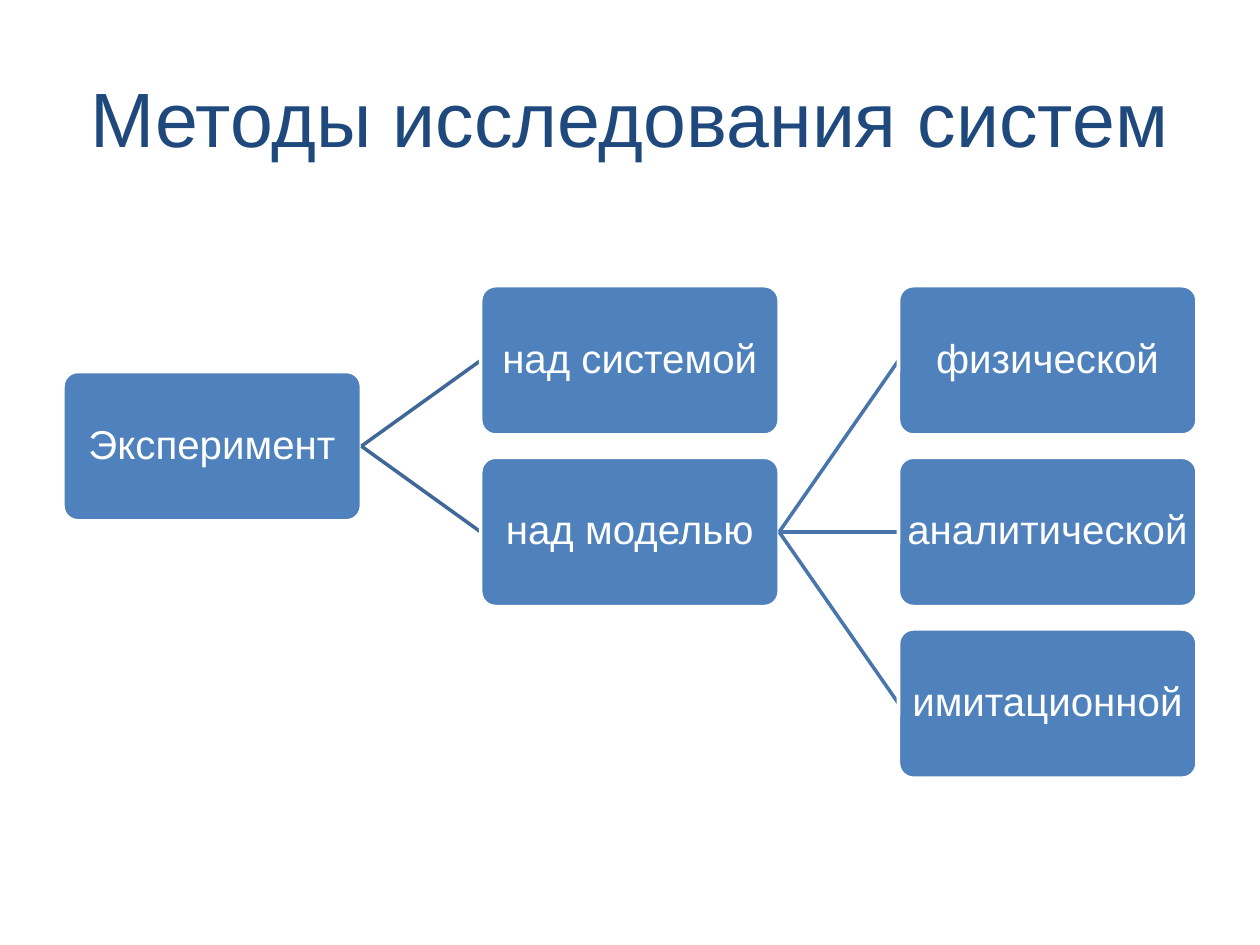
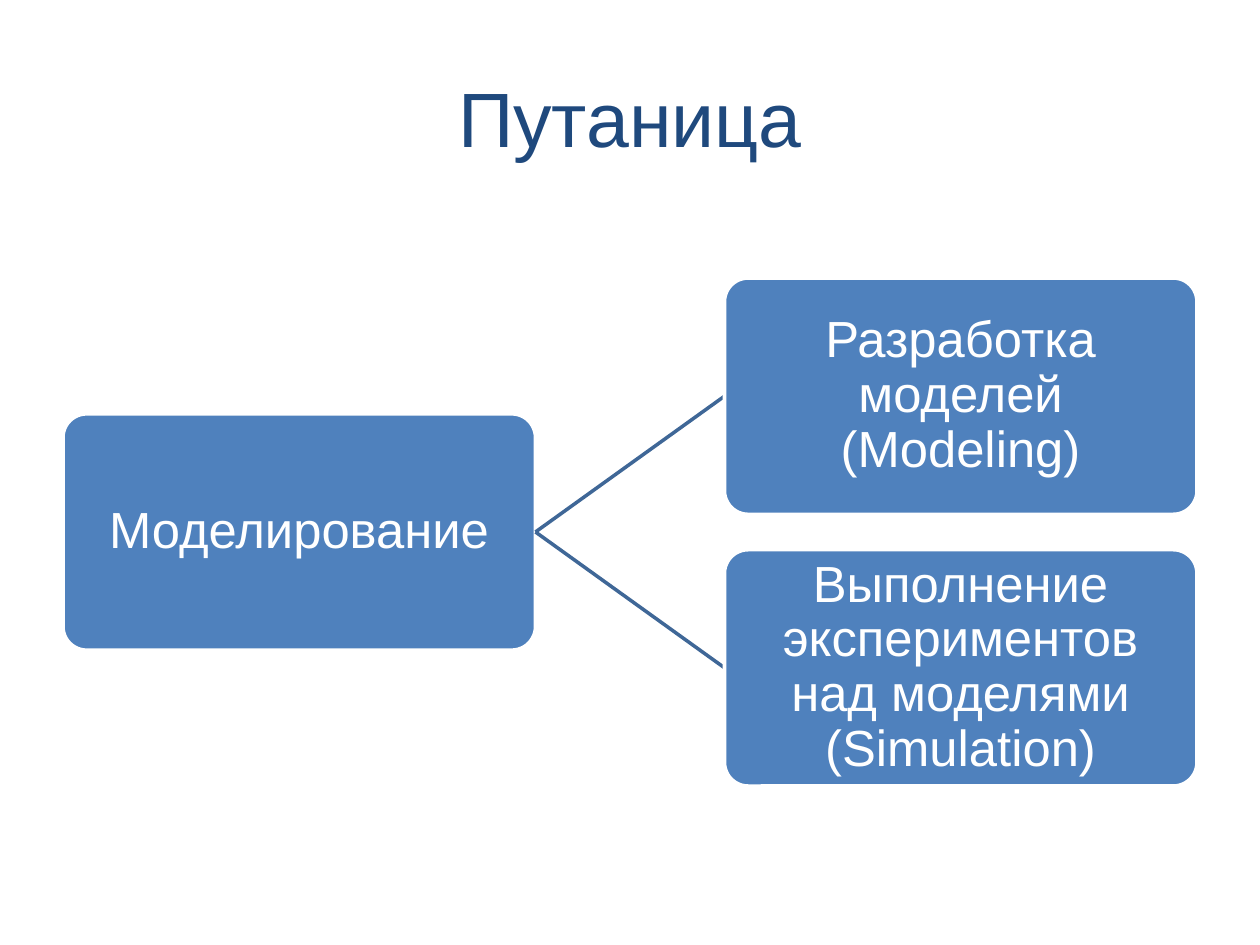
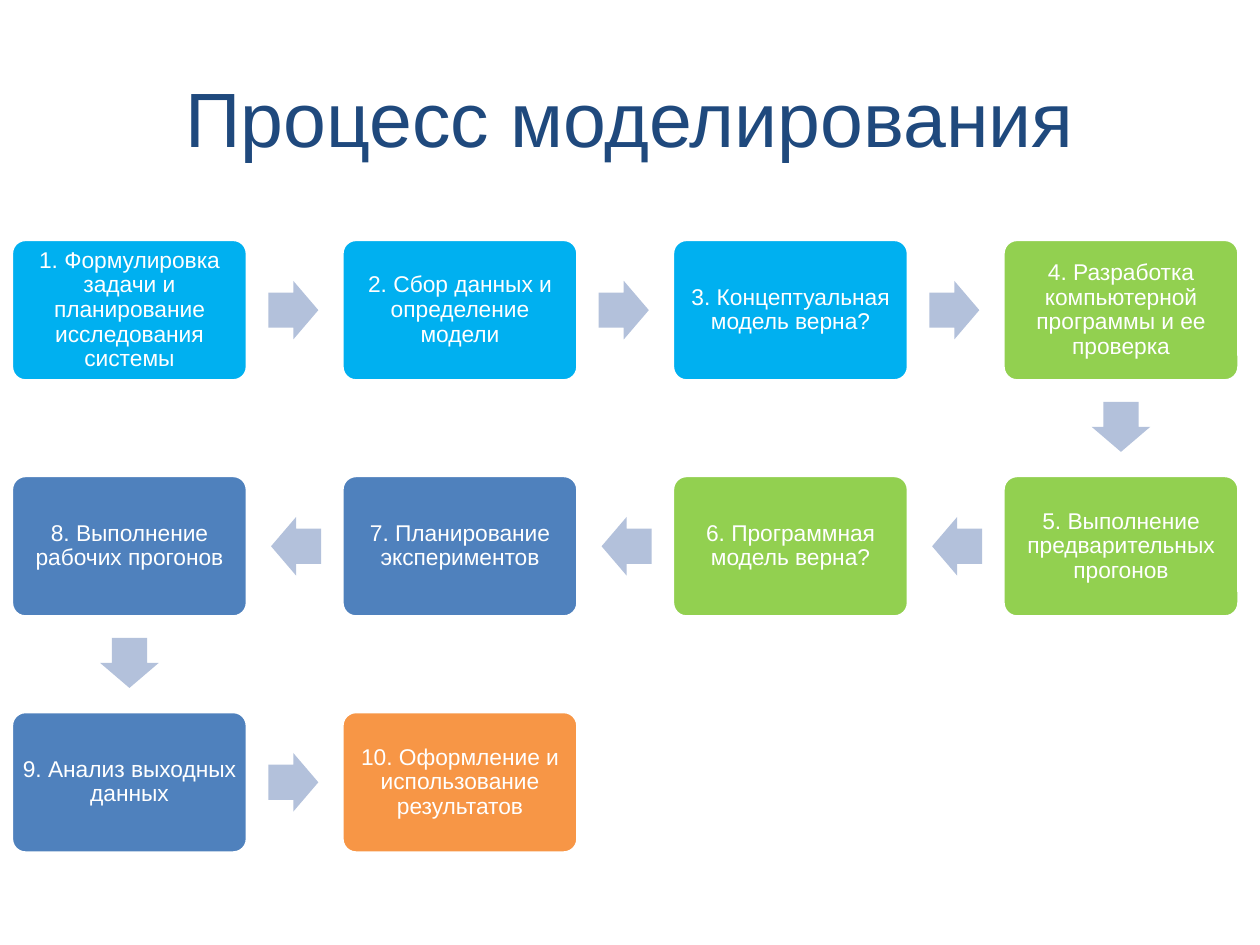
from pptx import Presentation
from pptx.dml.color import RGBColor
from pptx.enum.shapes import MSO_CONNECTOR, MSO_SHAPE
from pptx.enum.text import MSO_ANCHOR, PP_ALIGN
from pptx.oxml.ns import qn
from pptx.util import Pt
from lxml import etree

FONT = "Arial"
WHITE = RGBColor(0xFF, 0xFF, 0xFF)
NAVY = RGBColor(0x1F, 0x49, 0x7D)
BLUE = RGBColor(0x4F, 0x81, 0xBD)
SKY = RGBColor(0x00, 0xB0, 0xF0)
GREEN = RGBColor(0x92, 0xD0, 0x50)
ORANGE = RGBColor(0xF7, 0x96, 0x46)
PALE_BLUE = RGBColor(0xB3, 0xC1, 0xDB)
LINK_COLORS = [RGBColor(0x3F, 0x67, 0x97), RGBColor(0x48, 0x75, 0xAC)]

TREE_LEFT, TREE_WIDTH, TREE_MIDDLE = 36, 648, 304

STEP_LEFT, STEP_TOP = 6.5, 136.8
STEP_WIDTH, STEP_HEIGHT = 134.9, 80.9
STEP_PITCH_X, STEP_PITCH_Y = 188.87, 134.9
STEPS_PER_ROW = 4
ARROW_LENGTH, ARROW_BREADTH = 28.6, 33.5
ARROW_SHIFT = 0.8  # arrows sit slightly nearer to the step they leave

# A tree node: (text, row counted from the middle, children)
METHODS = ("Эксперимент", -0.5, [
    ("над системой", -1, []),
    ("над моделью", 0, [
        ("физической", -1, []),
        ("аналитической", 0, []),
        ("имитационной", 1, []),
    ]),
])
CONFUSION = ("Моделирование", 0, [
    ("Разработка моделей (Modeling)", -0.5, []),
    ("Выполнение экспериментов над моделями (Simulation)", 0.5, []),
])
STEPS = [
    ("Формулировка задачи и планирование исследования системы", SKY),
    ("Сбор данных и определение модели", SKY),
    ("Концептуальная модель верна?", SKY),
    ("Разработка компьютерной программы и ее проверка", GREEN),
    ("Выполнение предварительных прогонов", GREEN),
    ("Программная модель верна?", GREEN),
    ("Планирование экспериментов", BLUE),
    ("Выполнение рабочих прогонов", BLUE),
    ("Анализ выходных данных", BLUE),
    ("Оформление и использование результатов", ORANGE),
]


def write_text(shape, text, size, color):
    """Put one centred paragraph into a shape and return the paragraph."""
    frame = shape.text_frame
    frame.word_wrap = True
    frame.vertical_anchor = MSO_ANCHOR.MIDDLE
    paragraph = frame.paragraphs[0]
    paragraph.alignment = PP_ALIGN.CENTER
    run = paragraph.add_run()
    run.text = text
    run.font.name, run.font.size = FONT, Pt(size)
    run.font.color.rgb = color
    return paragraph


def add_titled_slide(prs, title):
    """Add a blank slide with the shared title."""
    slide = prs.slides.add_slide(prs.slide_layouts[6])
    box = slide.shapes.add_textbox(Pt(36), Pt(21.6), Pt(648), Pt(90))
    write_text(box, title, 44, NAVY)
    return slide


def add_box(slide, x, y, width, height, text, size, fill, inset):
    """Add a rounded box with a white outline and white text."""
    box = slide.shapes.add_shape(MSO_SHAPE.ROUNDED_RECTANGLE,
                                 Pt(x), Pt(y), Pt(width), Pt(height))
    box.adjustments[0] = 0.1
    box.shadow.inherit = False
    box.fill.solid()
    box.fill.fore_color.rgb = fill
    box.line.color.rgb = WHITE
    box.line.width = Pt(2)
    frame = box.text_frame
    frame.margin_left = frame.margin_right = Pt(inset)
    frame.margin_top = frame.margin_bottom = Pt(inset)
    write_text(box, text, size, WHITE).line_spacing = 0.9


def add_link(slide, x1, y1, x2, y2, color):
    """Draw a straight line without a shadow."""
    link = slide.shapes.add_connector(MSO_CONNECTOR.STRAIGHT,
                                      Pt(x1), Pt(y1), Pt(x2), Pt(y2))
    link.line.color.rgb = color
    link.line.width = Pt(2)
    etree.SubElement(link._element.spPr, qn("a:effectLst"))


def add_tree(slide, node, levels, size, level=0):
    """Draw a node and its branches, left to right, over the full width."""
    text, row, children = node
    width = TREE_WIDTH / (1.4 * levels - 0.4)
    height = width / 2
    pitch_x, pitch_y = 1.4 * width, 1.15 * height
    x = TREE_LEFT + level * pitch_x
    y = TREE_MIDDLE + row * pitch_y
    add_box(slide, x, y - height / 2, width, height, text, size, BLUE, 1.4)
    for child in children:
        child_y = TREE_MIDDLE + child[1] * pitch_y
        add_link(slide, x + width, y, x + pitch_x, child_y, LINK_COLORS[level])
        add_tree(slide, child, levels, size, level + 1)


def step_center(index):
    """Return the centre of a step; every second row runs backwards."""
    row, column = divmod(index, STEPS_PER_ROW)
    if row % 2:
        column = STEPS_PER_ROW - 1 - column
    return (STEP_LEFT + STEP_WIDTH / 2 + column * STEP_PITCH_X,
            STEP_TOP + STEP_HEIGHT / 2 + row * STEP_PITCH_Y)


def add_step_arrow(slide, start, end):
    """Add a block arrow between two neighbouring step centres."""
    dx, dy = end[0] - start[0], end[1] - start[1]
    if abs(dx) > abs(dy):
        direction, rotation = (1, 0) if dx > 0 else (-1, 180)
        shift_x, shift_y = direction * ARROW_SHIFT, 0
    else:
        rotation = 90
        shift_x, shift_y = 0, ARROW_SHIFT
    x = (start[0] + end[0]) / 2 - shift_x
    y = (start[1] + end[1]) / 2 - shift_y
    arrow = slide.shapes.add_shape(
        MSO_SHAPE.RIGHT_ARROW, Pt(x - ARROW_LENGTH / 2),
        Pt(y - ARROW_BREADTH / 2), Pt(ARROW_LENGTH), Pt(ARROW_BREADTH))
    arrow.adjustments[0], arrow.adjustments[1] = 0.6, 0.5
    arrow.rotation = rotation
    arrow.shadow.inherit = False
    arrow.fill.solid()
    arrow.fill.fore_color.rgb = PALE_BLUE
    arrow.line.fill.background()


def add_process(slide, steps):
    """Lay numbered steps out as a winding chain joined by arrows."""
    for index, (text, fill) in enumerate(steps):
        center = step_center(index)
        if index:
            add_step_arrow(slide, step_center(index - 1), center)
        add_box(slide, center[0] - STEP_WIDTH / 2, center[1] - STEP_HEIGHT / 2,
                STEP_WIDTH, STEP_HEIGHT, f"{index + 1}. {text}", 13, fill, 3.6)


def main():
    """Build and save the three slides."""
    prs = Presentation()
    prs.slide_width, prs.slide_height = Pt(720), Pt(540)
    add_tree(add_titled_slide(prs, "Методы исследования систем"),
             METHODS, levels=3, size=23)
    add_tree(add_titled_slide(prs, "Путаница"), CONFUSION, levels=2, size=29)
    add_process(add_titled_slide(prs, "Процесс моделирования"), STEPS)
    prs.save("out.pptx")


main()
